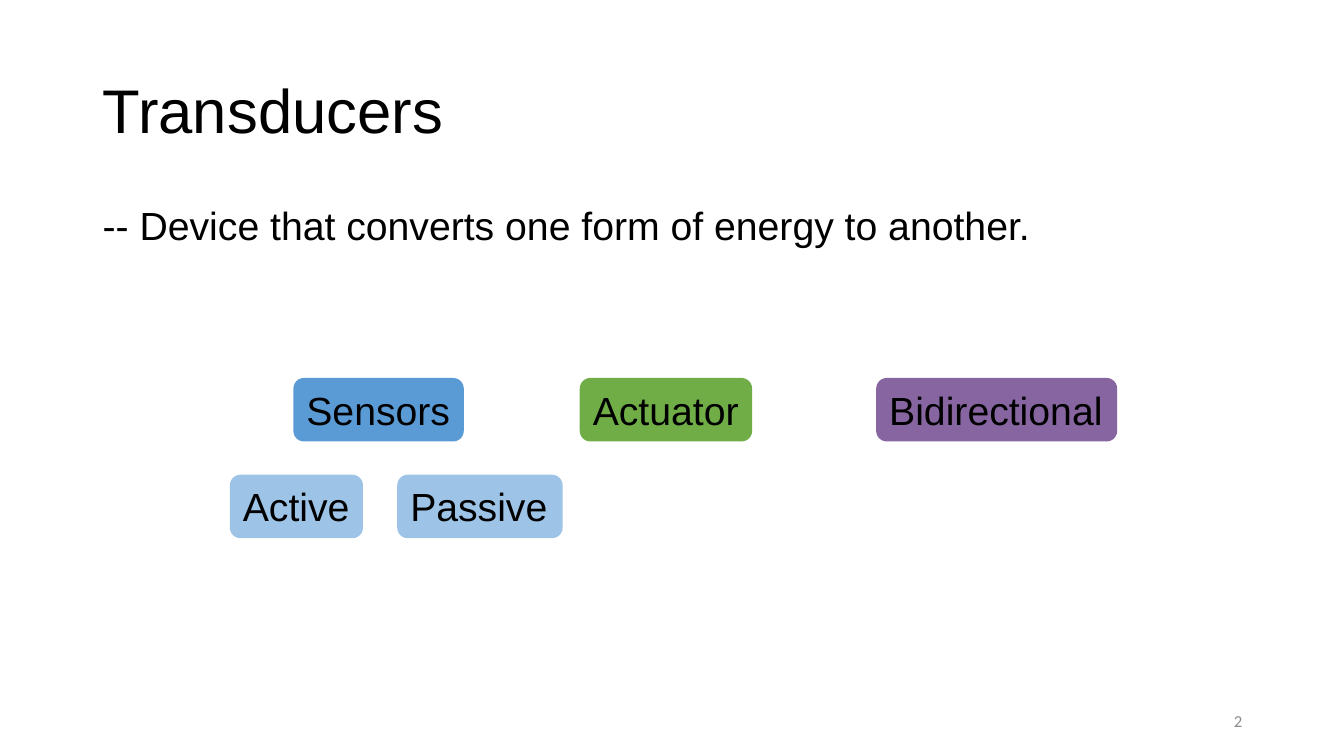
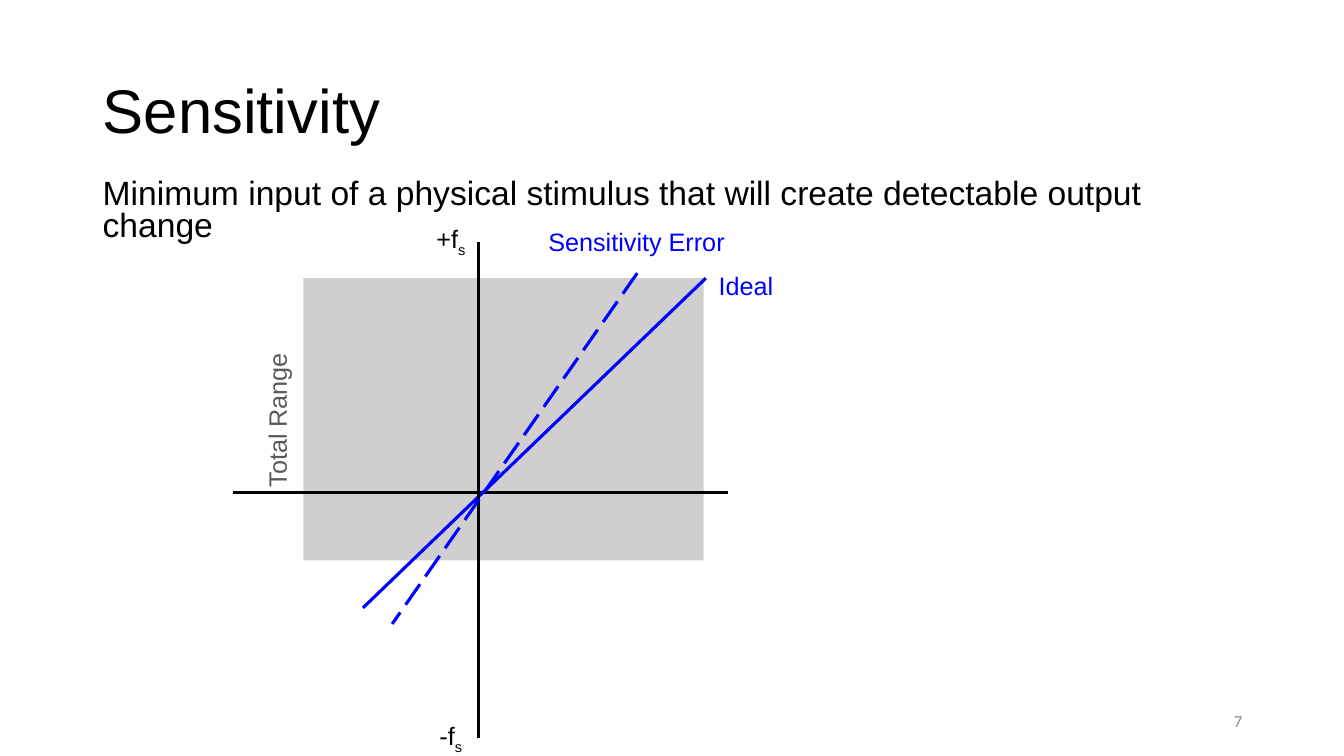
from dataclasses import dataclass

from lxml.etree import SubElement
from pptx import Presentation
from pptx.dml.color import RGBColor
from pptx.enum.dml import MSO_LINE
from pptx.enum.shapes import MSO_CONNECTOR, MSO_SHAPE
from pptx.enum.text import MSO_ANCHOR, MSO_AUTO_SIZE, PP_ALIGN
from pptx.oxml.ns import qn
from pptx.shapes.autoshape import Shape
from pptx.slide import Slide
from pptx.util import Inches, Pt

BLACK = RGBColor(0x00, 0x00, 0x00)
BLUE = RGBColor(0x00, 0x00, 0xFF)
DARK_GRAY = RGBColor(0x59, 0x59, 0x59)
MID_GRAY = RGBColor(0x8C, 0x8C, 0x8C)
PALE_GRAY = RGBColor(0xD0, 0xCE, 0xCE)
SENSOR_BLUE = RGBColor(0x5B, 0x9B, 0xD5)
LIGHT_BLUE = RGBColor(0x9D, 0xC3, 0xE6)
GREEN = RGBColor(0x70, 0xAD, 0x47)
PURPLE = RGBColor(0x86, 0x65, 0xA0)

MARGIN, CONTENT_W = 0.92, 11.5
KIND_Y, SUBKIND_Y, TAG_H = 3.75, 4.71, 0.63
LABEL_H = 0.4
AXIS_X, AXIS_Y = 4.75, 4.89


@dataclass(frozen=True)
class Tag:
    text: str
    left: float
    top: float
    width: float
    fill: RGBColor


@dataclass(frozen=True)
class Label:
    text: str
    left: float
    top: float
    width: float
    color: RGBColor = BLACK
    sub: str = ""
    turn: int = 0


@dataclass(frozen=True)
class Line:
    start: tuple[float, float]
    end: tuple[float, float]
    color: RGBColor
    dash: MSO_LINE | None = None


TAGS = (
    Tag("Sensors", 2.91, KIND_Y, 1.69, SENSOR_BLUE),
    Tag("Actuator", 5.75, KIND_Y, 1.71, GREEN),
    Tag("Bidirectional", 8.69, KIND_Y, 2.39, PURPLE),
    Tag("Active", 2.28, SUBKIND_Y, 1.32, LIGHT_BLUE),
    Tag("Passive", 3.94, SUBKIND_Y, 1.64, LIGHT_BLUE),
)
LINES = (
    Line((7.22, AXIS_Y), (2.31, AXIS_Y), BLACK),
    Line((7, 2.76), (3.6, 6.03), BLUE),
    Line((AXIS_X, 7.32), (AXIS_X, 2.4), BLACK),
    Line((6.32, 2.71), (3.89, 6.19), BLUE, MSO_LINE.LONG_DASH),
)
LABELS = (
    Label("-f", 4.26, 7.1, 0.44, sub="s"),
    Label("+f", 4.23, 2.17, 0.5, sub="s"),
    Label("Ideal", 7.03, 2.63, 0.75, BLUE),
    Label("Sensitivity Error", 5.34, 2.2, 1.97, BLUE),
    Label("Total Range", 1.97, 3.96, 1.55, DARK_GRAY, turn=270),
)


def write(shape: Shape, text: str, size: float, color: RGBColor = BLACK,
          font: str = "Arial", sub: str = "", wrap: bool = True,
          anchor: MSO_ANCHOR = MSO_ANCHOR.TOP, **layout) -> None:
    """Fill a shape with one paragraph; sub is a subscript, layout its format."""
    frame = shape.text_frame
    frame.auto_size = MSO_AUTO_SIZE.NONE if wrap else MSO_AUTO_SIZE.SHAPE_TO_FIT_TEXT
    frame.word_wrap = wrap
    frame.vertical_anchor = anchor
    para = frame.paragraphs[0]
    for name, value in ({"alignment": PP_ALIGN.LEFT} | layout).items():
        setattr(para, name, value)
    for part in filter(None, (text, sub)):
        run = para.add_run()
        run.text = part
        for name, value in {"size": Pt(size), "name": font}.items():
            setattr(run.font, name, value)
        run.font.color.rgb = color
    if sub:
        run._r.get_or_add_rPr().set("baseline", "-25000")


def add_text(slide: Slide, left: float, top: float, width: float, height: float,
             text: str, size: float, **style) -> Shape:
    box = slide.shapes.add_textbox(*map(Inches, (left, top, width, height)))
    write(box, text, size, **style)
    return box


def add_block(slide: Slide, kind: MSO_SHAPE, left: float, top: float,
              width: float, height: float, fill: RGBColor) -> Shape:
    block = slide.shapes.add_shape(kind, *map(Inches, (left, top, width, height)))
    block.shadow.inherit = False
    block.fill.solid()
    block.fill.fore_color.rgb = fill
    block.line.fill.background()
    return block


def add_tag(slide: Slide, tag: Tag) -> None:
    block = add_block(slide, MSO_SHAPE.ROUNDED_RECTANGLE, tag.left, tag.top,
                      tag.width, TAG_H, tag.fill)
    write(block, tag.text, 28, wrap=False)


def add_label(slide: Slide, label: Label) -> None:
    box = add_text(slide, label.left, label.top, label.width, LABEL_H, label.text,
                   18, color=label.color, sub=label.sub, wrap=bool(label.turn))
    box.rotation = label.turn


def add_line(slide: Slide, line: Line) -> None:
    link = slide.shapes.add_connector(
        MSO_CONNECTOR.STRAIGHT, *map(Inches, line.start + line.end))
    link.line.color.rgb = line.color
    link.line.width = Pt(2.25)
    if line.dash:
        link.line.dash_style = line.dash
    SubElement(link._element.spPr, qn("a:effectLst"))


def add_page(deck: Presentation, title: str, number: int) -> Slide:
    """Add a slide with the shared title style and page number."""
    slide = deck.slides.add_slide(deck.slide_layouts[5])
    head = slide.shapes.title
    place = {"left": MARGIN, "top": 0.4, "width": CONTENT_W, "height": 1.45}
    for name, value in place.items():
        setattr(head, name, Inches(value))
    write(head, title, 44, anchor=MSO_ANCHOR.MIDDLE, line_spacing=0.9)
    add_text(slide, 9.42, 6.95, 3, 0.4, str(number), 12, color=MID_GRAY,
             font="Calibri", anchor=MSO_ANCHOR.MIDDLE, alignment=PP_ALIGN.RIGHT)
    return slide


def add_body(slide: Slide, top: float, text: str, size: float, spacing: float) -> None:
    add_text(slide, MARGIN, top, CONTENT_W, 0.79, text, size,
             line_spacing=spacing, space_before=Pt(10))


def build_transducers(deck: Presentation) -> None:
    slide = add_page(deck, "Transducers", 2)
    add_body(slide, 2, "-- Device that converts one form of energy to another.", 28, 0.9)
    for tag in TAGS:
        add_tag(slide, tag)


def build_sensitivity(deck: Presentation) -> None:
    slide = add_page(deck, "Sensitivity", 7)
    add_block(slide, MSO_SHAPE.RECTANGLE, 3.01, 2.76, 3.97, 2.8, PALE_GRAY)
    add_body(slide, 1.73, "Minimum input of a physical stimulus that will create "
             "detectable output change", 24, 0.8)
    for line in LINES:
        add_line(slide, line)
    for label in LABELS:
        add_label(slide, label)


def main() -> None:
    deck = Presentation()
    deck.slide_width, deck.slide_height = Inches(13.33), Inches(7.5)
    build_transducers(deck)
    build_sensitivity(deck)
    deck.save("out.pptx")


if __name__ == "__main__":
    main()
